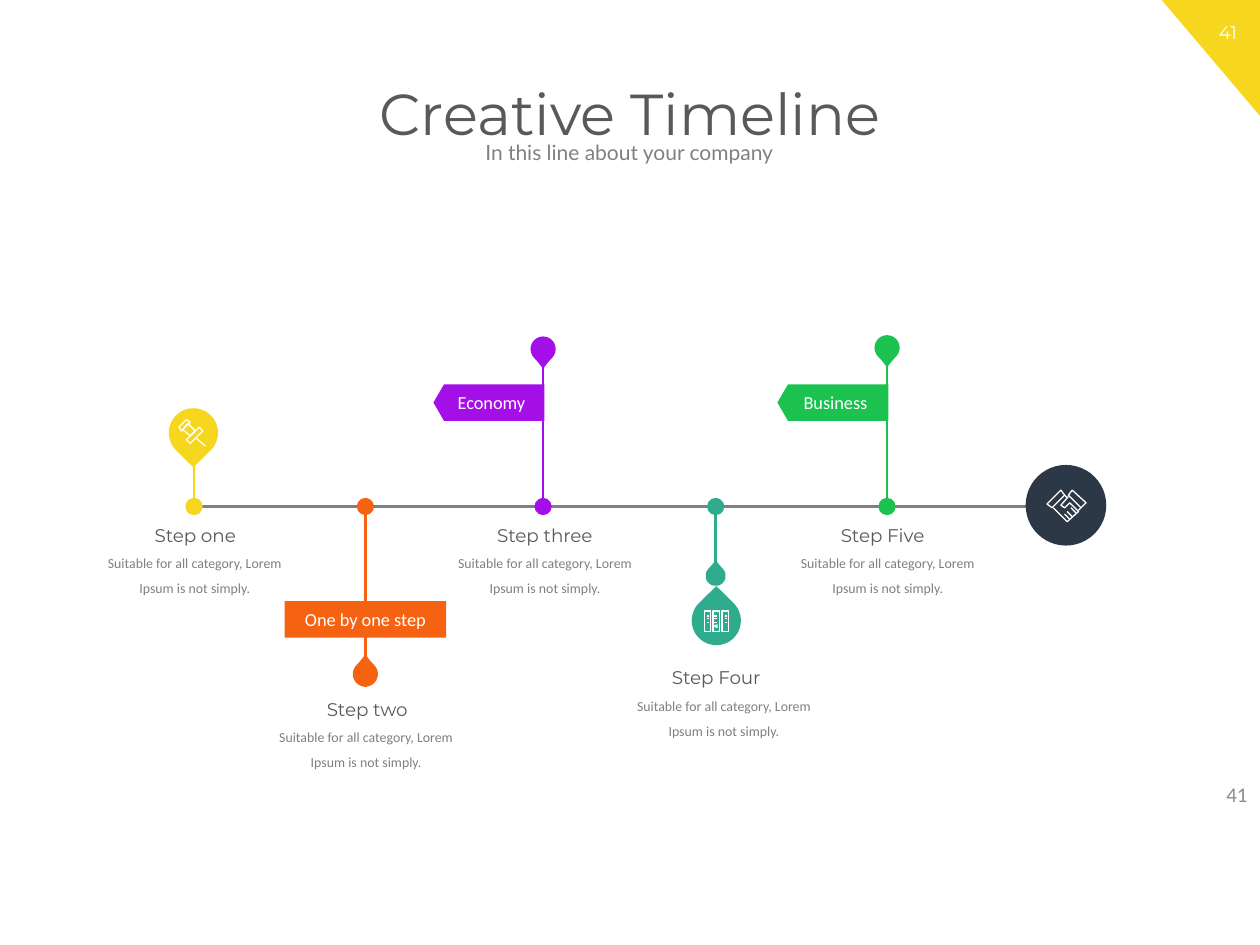
from lxml.etree import SubElement
from pptx import Presentation
from pptx.dml.color import RGBColor
from pptx.enum.shapes import MSO_CONNECTOR, MSO_SHAPE
from pptx.enum.text import MSO_ANCHOR, PP_ALIGN
from pptx.oxml.ns import qn
from pptx.util import Inches, Pt

YELLOW = RGBColor(0xF6, 0xD7, 0x1E)
ORANGE = RGBColor(0xF5, 0x62, 0x11)
PURPLE = RGBColor(0xA4, 0x0F, 0xE7)
TEAL = RGBColor(0x2F, 0xAB, 0x8D)
GREEN = RGBColor(0x1C, 0xC2, 0x4F)
NAVY = RGBColor(0x2D, 0x38, 0x47)
DARK = RGBColor(0x59, 0x59, 0x59)
GRAY = RGBColor(0x80, 0x80, 0x80)
PALE = RGBColor(0x8C, 0x8C, 0x8C)
WHITE = RGBColor(0xFF, 0xFF, 0xFF)

AXIS = 4.02
BLURB = "Suitable for all category, Lorem Ipsum is not simply."
PUSHPIN = [
    [(0, 6), (6, 0), (9, 2), (2, 9), (0, 6)],
    [(3, 8), (7, 3), (13, 9), (9, 13), (3, 8)],
    [(6, 16), (16, 6), (19, 9), (9, 19), (6, 16)],
    [(14, 15), (21, 21)],
]
BINDERS = [
    [(x, 0), (x + 5, 0), (x + 5, 16), (x, 16), (x, 0)] for x in (0, 7, 14)
] + [[(x + 1.5, y), (x + 3.5, y)] for x in (0, 7, 14) for y in (4, 6.5, 9)] + [
    [(9.5, 11), (10.5, 12), (9.5, 13), (8.5, 12), (9.5, 11)]
]
HANDS = [
    [(0, 11), (11, 0), (14, 4), (4, 14), (0, 11)],
    [(17, 4), (20, 0), (31, 10), (27, 14), (17, 4)],
    [(5, 14), (16, 25), (25, 17), (18, 10), (14, 14), (11, 12), (17, 5)],
    [(14, 4), (16, 6)],
    [(25, 16), (27, 14)],
    [(23, 18), (19, 14)],
    [(20, 21), (16, 17)],
    [(18, 23), (14, 19)],
]


def write(frame, text, size=10.5, font="Calibri", color=WHITE, align=PP_ALIGN.CENTER,
          anchor=MSO_ANCHOR.TOP, space=1.0, wrap=True, inset=None):
    """Fill a text frame with one formatted paragraph."""
    frame.word_wrap = wrap
    frame.vertical_anchor = anchor
    if inset is not None:
        frame.margin_left = frame.margin_right = Inches(inset)
        frame.margin_top = frame.margin_bottom = Inches(inset)
    para = frame.paragraphs[0]
    para.alignment = align
    para.line_spacing = space
    run = para.add_run()
    run.text = text
    run.font.size = Pt(size)
    run.font.name = font
    run.font.color.rgb = color


def note(slide, box, text, **style):
    """Add a text box."""
    area = slide.shapes.add_textbox(*map(Inches, box))
    write(area.text_frame, text, **style)


def solid(slide, kind, box, color):
    """Add a filled preset shape without outline."""
    shape = slide.shapes.add_shape(kind, *map(Inches, box))
    shape.shadow.inherit = False
    shape.fill.solid()
    shape.fill.fore_color.rgb = color
    shape.line.fill.background()
    return shape


def rule(slide, start, end, color, dot=False):
    """Draw a straight line, with a round end if asked."""
    line = slide.shapes.add_connector(
        MSO_CONNECTOR.STRAIGHT, *map(Inches, (*start, *end)))
    line.line.color.rgb = color
    line.line.width = Pt(1.5)
    props = line._element.spPr
    if dot:
        SubElement(props.find(qn("a:ln")), qn("a:tailEnd"), type="oval", w="lg", len="lg")
    SubElement(props, qn("a:effectLst"))


def drop(slide, box, color, up=False, tip=1.12):
    """Add a teardrop pointing up or down."""
    shape = solid(slide, MSO_SHAPE.TEAR, box, color)
    shape.adjustments[0] = tip
    shape.rotation = 315 if up else 135


def icon(slide, left, top, strokes):
    """Draw white strokes given in hundredths of an inch."""
    pen = slide.shapes.build_freeform(*strokes[0][0], scale=Inches(0.01))
    for i, stroke in enumerate(strokes):
        if i:
            pen.move_to(*stroke[0])
        pen.add_line_segments(stroke[1:], close=False)
    shape = pen.convert_to_shape(Inches(left), Inches(top))
    shape.shadow.inherit = False
    shape.fill.background()
    shape.line.color.rgb = WHITE
    shape.line.width = Pt(0.75)


def label(slide, kind, box, text, color):
    """Add a coloured tag with centred text."""
    tag = solid(slide, kind, box, color)
    if kind == MSO_SHAPE.PENTAGON:
        tag.adjustments[0] = 0.29
        tag._element.spPr.find(qn("a:xfrm")).set("flipH", "1")
    else:
        tag.adjustments[0] = 0
    write(tag.text_frame, text, anchor=MSO_ANCHOR.MIDDLE, inset=0)


def step(slide, name, box, left):
    """Write a step name and the blurb below it."""
    note(slide, box, name, font="Montserrat", color=DARK, wrap=False)
    note(slide, (left, box[1] + 0.18, 1.65, 0.5), BLURB, size=7.9, color=GRAY, space=1.5)


def flag(slide, x, top, text, color):
    """Raise a pole with a drop and a tag to its left."""
    rule(slide, (x, top + 0.1), (x, AXIS), color, dot=True)
    drop(slide, (x - 0.1, top, 0.2, 0.2), color)
    label(slide, MSO_SHAPE.PENTAGON, (x - 0.87, 3.05, 0.88, 0.29), text, color)


def header(slide):
    """Place the corner, page numbers, title and subtitle."""
    corner = solid(slide, MSO_SHAPE.RIGHT_TRIANGLE, (9.22, 0, 0.78, 0.92), YELLOW)
    corner.rotation = 180
    note(slide, (9.49, 0.12, 0.51, 0.28), "41", font="Montserrat")
    title = slide.shapes.title
    title.left, title.top, title.width, title.height = map(Inches, (0.57, 0.63, 8.86, 0.73))
    write(title.text_frame, "Creative Timeline", size=33, font="Montserrat",
          color=DARK, space=0.9)
    note(slide, (1.39, 1.09, 7.21, 0.26), "In this line about your company", size=12,
         font="Lato", color=GRAY, anchor=MSO_ANCHOR.MIDDLE, space=0.9)
    note(slide, (9.39, 6.22, 0.61, 0.17), "41", size=12, color=PALE,
         align=PP_ALIGN.RIGHT, anchor=MSO_ANCHOR.MIDDLE)


def timeline(slide):
    """Place the axis, its markers and the five steps."""
    rule(slide, (1.54, AXIS), (8.31, AXIS), GRAY)

    rule(slide, (1.54, 3.67), (1.54, AXIS), YELLOW, dot=True)
    drop(slide, (1.34, 3.24, 0.39, 0.39), YELLOW, tip=0.99)
    icon(slide, 1.42, 3.33, PUSHPIN)

    rule(slide, (2.9, 5.45), (2.9, AXIS), ORANGE, dot=True)
    drop(slide, (2.8, 5.25, 0.2, 0.2), ORANGE, up=True)
    label(slide, MSO_SHAPE.ROUNDED_RECTANGLE, (2.26, 4.77, 1.28, 0.29),
          "One by one step", ORANGE)

    flag(slide, 4.31, 2.67, "Economy", PURPLE)
    flag(slide, 7.04, 2.66, "Business", GREEN)

    rule(slide, (5.68, 4.52), (5.68, AXIS), TEAL, dot=True)
    drop(slide, (5.6, 4.49, 0.16, 0.16), TEAL, up=True)
    drop(slide, (5.49, 4.73, 0.39, 0.39), TEAL, up=True, tip=0.99)
    icon(slide, 5.59, 4.85, BINDERS)

    solid(slide, MSO_SHAPE.OVAL, (8.14, 3.69, 0.64, 0.64), NAVY)
    icon(slide, 8.31, 3.89, HANDS)

    for name, left, top, width, edge in (
        ("Step one", 1.12, 4.11, 0.86, 0.72),
        ("Step two", 2.48, 5.49, 0.87, 2.08),
        ("Step three", 3.84, 4.11, 0.97, 3.5),
        ("Step Four", 5.23, 5.24, 0.91, 4.92),
        ("Step Five", 6.57, 4.11, 0.87, 6.22),
    ):
        step(slide, name, (left, top, width, 0.28), edge)


def main():
    """Build and save the slide."""
    deck = Presentation()
    deck.slide_width, deck.slide_height = Inches(10), Inches(7.5)
    slide = deck.slides.add_slide(deck.slide_layouts[5])
    header(slide)
    timeline(slide)
    deck.save("out.pptx")


if __name__ == "__main__":
    main()
